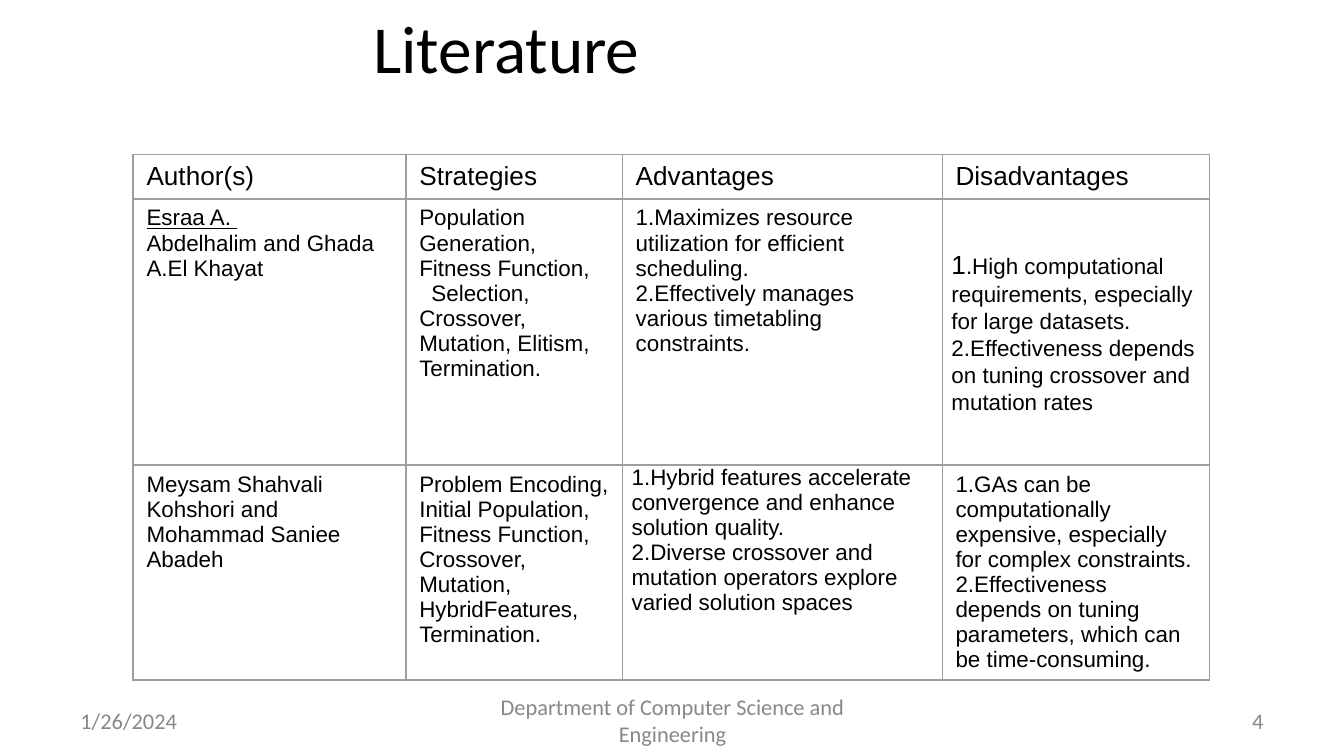
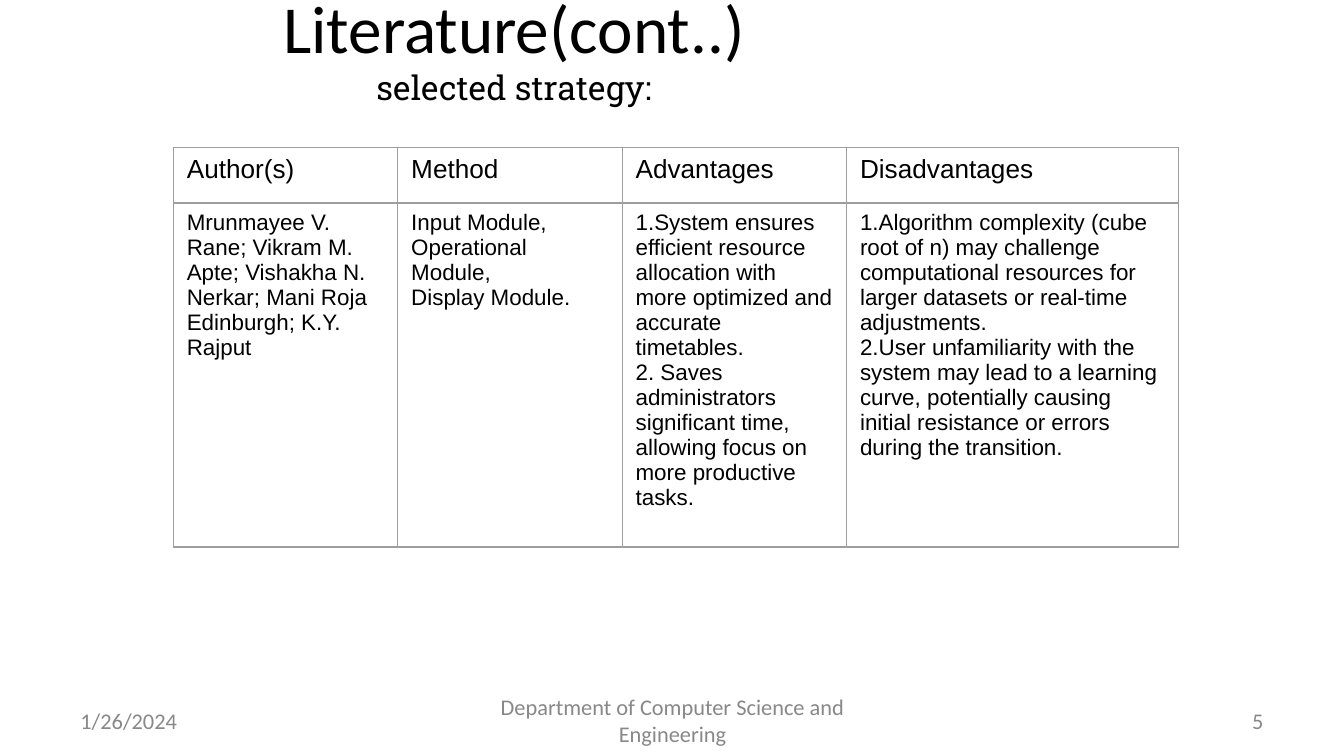
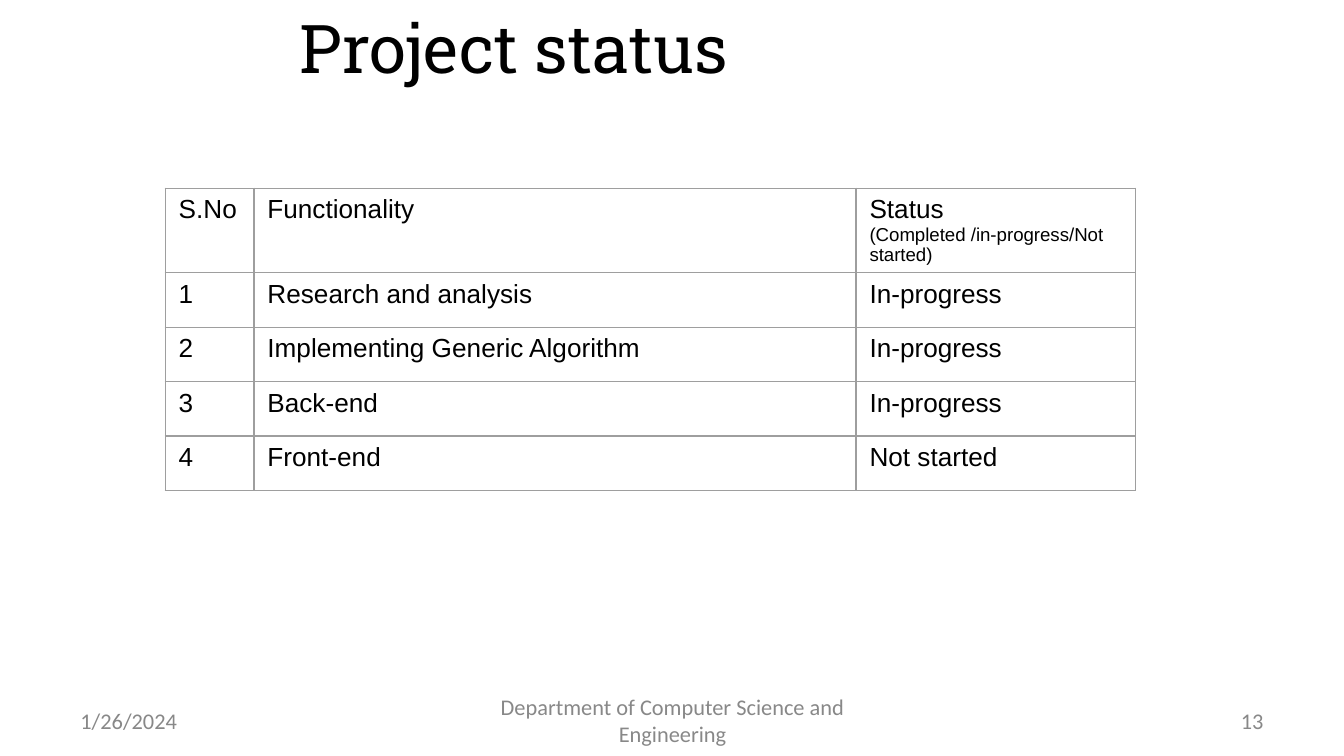
import dataclasses
import typing

import pptx
import pptx.dml.color
import pptx.enum.text
import pptx.oxml
import pptx.oxml.ns
import pptx.util

ALIGN = pptx.enum.text.PP_ALIGN
ANCHOR = pptx.enum.text.MSO_ANCHOR
UNIT = pptx.util.Inches(0.1)
GRID_COLUMNS, GRID_ROWS = 100, 56.25


@dataclasses.dataclass(frozen=True)
class Theme:
    """Colours, fonts and type sizes shared by all slides."""
    ink: str = "000000"
    muted: str = "888888"
    border: str = "9E9E9E"
    border_width: float = 0.75
    heading_font: str = "Calibri"
    slab_font: str = "Roboto Slab"
    table_font: str = "Arial"
    title_size: int = 36
    subtitle_size: int = 18
    header_size: int = 14
    body_size: int = 12
    note_size: int = 10


THEME = Theme()


@dataclasses.dataclass(frozen=True)
class Box:
    """Area in grid columns and rows."""
    left: float
    top: float
    width: float
    height: float

    def lengths(self):
        """Return left, top, width and height as slide lengths."""
        return [grid(value) for value in dataclasses.astuple(self)]


@dataclasses.dataclass(frozen=True)
class Run:
    """Text with one format; empty fields take the region's format."""
    text: str
    size: typing.Optional[int] = None
    font: typing.Optional[str] = None
    underline: bool = False


@dataclasses.dataclass(frozen=True)
class Line:
    """Paragraph of runs with its spacing and first-line indent."""
    runs: tuple
    spacing: typing.Optional[float] = None
    indent: float = 0


@dataclasses.dataclass(frozen=True)
class Cell:
    """Table cell made of lines, with optional tight margins."""
    lines: tuple
    tight: bool = False
    anchor: ANCHOR = ANCHOR.TOP


TITLE_BOX = Box(4.8, 0, 66.9, 6.9)
FOOTER_TOP, FOOTER_HEIGHT = 52.1, 3
DATE_BOX = Box(5, FOOTER_TOP, 23.3, FOOTER_HEIGHT)
DEPARTMENT_BOX = Box(34.2, FOOTER_TOP, 31.7, FOOTER_HEIGHT)
NUMBER_BOX = Box(71.7, FOOTER_TOP, 23.3, FOOTER_HEIGHT)


def grid(value):
    """Turn grid units into a slide length."""
    return round(value * UNIT)


def plain(*texts):
    """Return one line for each text in the region's format."""
    return tuple(Line((Run(text),)) for text in texts)


def write_run(paragraph, run, size, font, color):
    """Add one formatted run to a paragraph."""
    added = paragraph.add_run()
    added.text = run.text
    added.font.size = pptx.util.Pt(run.size or size)
    added.font.name = run.font or font
    added.font.color.rgb = pptx.dml.color.RGBColor.from_string(color)
    if run.underline:
        added.font.underline = True


def write_lines(text_frame, lines, size, font, color, align=ALIGN.LEFT):
    """Fill a text frame with paragraphs."""
    for index, line in enumerate(lines):
        paragraph = text_frame.add_paragraph() if index else text_frame.paragraphs[0]
        paragraph.alignment = align
        if line.spacing:
            paragraph.line_spacing = line.spacing
        if line.indent:
            paragraph._p.get_or_add_pPr().set("indent", str(grid(line.indent)))
        for run in line.runs:
            write_run(paragraph, run, size, font, color)


def set_master_title_size(presentation):
    """Give the master's title style the theme's size."""
    style = presentation.slide_master.element.find(".//" + pptx.oxml.ns.qn("p:titleStyle"))
    default = style.find(".//" + pptx.oxml.ns.qn("a:defRPr"))
    default.set("sz", str(THEME.title_size * 100))


def add_title(slide, box, runs):
    """Place the title, with each run on its own row."""
    title = slide.shapes.title
    title.left, title.top, title.width, title.height = box.lengths()
    frame = title.text_frame
    frame.auto_size = pptx.enum.text.MSO_AUTO_SIZE.NONE
    frame.vertical_anchor = ANCHOR.MIDDLE
    paragraph = frame.paragraphs[0]
    paragraph.alignment = ALIGN.CENTER
    for index, run in enumerate(runs):
        if index:
            paragraph.add_line_break()
        write_run(paragraph, run, THEME.title_size, THEME.heading_font, THEME.ink)


def add_footer(slide, number):
    """Place the date, department and slide number."""
    for box, text, align in (
        (DATE_BOX, "1/26/2024", ALIGN.LEFT),
        (DEPARTMENT_BOX, "Department of Computer Science and Engineering", ALIGN.CENTER),
        (NUMBER_BOX, str(number), ALIGN.RIGHT),
    ):
        frame = slide.shapes.add_textbox(*box.lengths()).text_frame
        frame.word_wrap = True
        frame.vertical_anchor = ANCHOR.MIDDLE
        write_lines(frame, plain(text), THEME.body_size, THEME.heading_font, THEME.muted, align)


def add_borders(cell):
    """Draw the theme's border on all four sides of a cell."""
    properties = cell._tc.get_or_add_tcPr()
    for side in ("lnL", "lnR", "lnT", "lnB"):
        properties.append(pptx.oxml.parse_xml(
            f'<a:{side} {pptx.oxml.ns.nsdecls("a")} w="{pptx.util.Pt(THEME.border_width)}">'
            f'<a:solidFill><a:srgbClr val="{THEME.border}"/></a:solidFill></a:{side}>'))


def fill_cell(cell, content, size):
    """Format one table cell and write its content."""
    if isinstance(content, str):
        content = Cell(plain(*content.split("\n")))
    add_borders(cell)
    cell.fill.background()
    cell.vertical_anchor = content.anchor
    side, edge = (0.7, 0) if content.tight else (1, 0.5)
    cell.margin_left = cell.margin_right = grid(side)
    cell.margin_top = cell.margin_bottom = grid(edge)
    write_lines(cell.text_frame, content.lines, size, THEME.table_font, THEME.ink)


def add_grid_table(slide, left, top, widths, heights, rows, body_size):
    """Place a bordered table whose first row is the header."""
    box = Box(left, top, sum(widths), sum(heights))
    table = slide.shapes.add_table(len(rows), len(widths), *box.lengths()).table
    table.first_row = table.horz_banding = False
    for column, width in zip(table.columns, widths):
        column.width = grid(width)
    for index, (row, height, contents) in enumerate(zip(table.rows, heights, rows)):
        row.height = grid(height)
        for cell, content in zip(row.cells, contents):
            fill_cell(cell, content, body_size if index else THEME.header_size)


def add_table_slide(presentation, number, title_runs, **table):
    """Add a slide with a title, a table and the footer."""
    slide = presentation.slides.add_slide(presentation.slide_layouts[5])
    add_title(slide, TITLE_BOX, title_runs)
    add_grid_table(slide, **table)
    add_footer(slide, number)


def add_literature(presentation):
    """Add the comparison of two papers."""
    first_authors = Cell((Line((Run("Esraa A. ", underline=True),)),
                          *plain("Abdelhalim and Ghada A.El Khayat")))
    first_strategies = Cell((*plain("Population Generation,", "Fitness Function,"),
                             Line((Run("Selection, Crossover,"),), indent=0.9),
                             *plain("Mutation, Elitism,", "Termination.")))
    first_disadvantages = Cell((
        Line((Run("1", THEME.header_size),
              Run(".High computational requirements, especially for large datasets.")), 1.07),
        Line((Run("2.Effectiveness depends on tuning crossover and mutation rates"),), 1.07),
    ), tight=True, anchor=ANCHOR.MIDDLE)
    second_advantages = Cell(plain(
        "1.Hybrid features accelerate convergence and enhance solution quality.",
        "2.Diverse crossover and mutation operators explore varied solution spaces"), tight=True)
    add_table_slide(
        presentation, 4, [Run("Literature ")],
        left=9.9, top=11.5, widths=(20.3, 16.1, 23.8, 19.9), heights=(3.3, 19.8, 16),
        body_size=THEME.body_size,
        rows=(
            ("Author(s)", "Strategies", "Advantages", "Disadvantages"),
            (first_authors, first_strategies,
             "1.Maximizes resource utilization for efficient scheduling.\n"
             "2.Effectively manages various timetabling constraints.",
             first_disadvantages),
            ("Meysam Shahvali Kohshori and Mohammad Saniee Abadeh",
             "Problem Encoding, Initial Population, Fitness Function, Crossover, Mutation,\n"
             "HybridFeatures,\nTermination.",
             second_advantages,
             "1.GAs can be computationally expensive, especially for complex constraints.\n"
             "2.Effectiveness depends on tuning parameters, which can be time-consuming."),
        ))


def add_selected_strategy(presentation):
    """Add the paper whose strategy was selected."""
    add_table_slide(
        presentation, 5,
        [Run("Literature(cont..)"),
         Run("selected strategy:", THEME.subtitle_size, THEME.slab_font)],
        left=12.9, top=11, widths=(16.7, 16.7, 16.7, 24.7), heights=(4.1, 25.6),
        body_size=THEME.body_size,
        rows=(
            ("Author(s)", "Method", "Advantages", "Disadvantages"),
            ("Mrunmayee V. Rane; Vikram M. Apte; Vishakha N. Nerkar; "
             "Mani Roja Edinburgh; K.Y. Rajput",
             "Input Module,\nOperational Module,\nDisplay Module.",
             "1.System ensures efficient resource allocation with more optimized "
             "and accurate timetables.\n"
             "2. Saves administrators significant time, allowing focus on more productive tasks.",
             "1.Algorithm complexity (cube root of n) may challenge computational resources "
             "for larger datasets or real-time adjustments.\n"
             "2.User unfamiliarity with the system may lead to a learning curve, "
             "potentially causing initial resistance or errors during the transition."),
        ))


def add_project_status(presentation):
    """Add the status of each part of the project."""
    status_header = Cell((*plain("Status"),
                          Line((Run("(Completed /in-progress/Not started)", THEME.note_size),))))
    add_table_slide(
        presentation, 13, [Run("Project status", font=THEME.slab_font)],
        left=12.3, top=14, widths=(6.6, 44.8, 20.8), heights=(6.3, *[4.05] * 4),
        body_size=THEME.header_size,
        rows=(
            ("S.No", "Functionality", status_header),
            ("1", "Research and analysis", "In-progress"),
            ("2", "Implementing Generic Algorithm", "In-progress"),
            ("3", "Back-end", "In-progress"),
            ("4", "Front-end", "Not started"),
        ))


def main():
    """Build and save the presentation."""
    presentation = pptx.Presentation()
    presentation.slide_width = grid(GRID_COLUMNS)
    presentation.slide_height = grid(GRID_ROWS)
    set_master_title_size(presentation)
    add_literature(presentation)
    add_selected_strategy(presentation)
    add_project_status(presentation)
    presentation.save("out.pptx")


if __name__ == "__main__":
    main()
